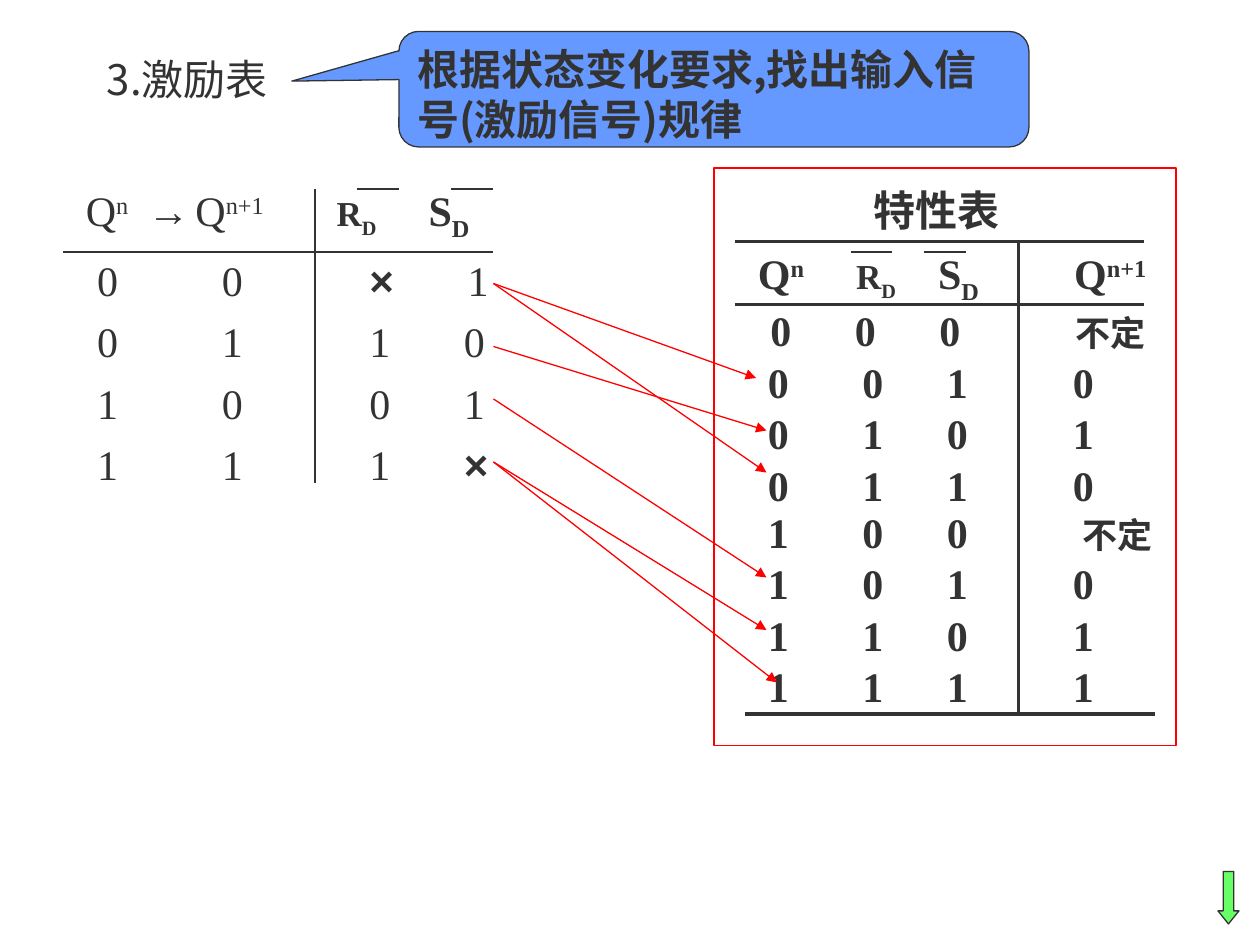
from itertools import product

from lxml import etree
from pptx import Presentation
from pptx.dml.color import RGBColor
from pptx.enum.shapes import MSO_CONNECTOR, MSO_SHAPE
from pptx.enum.text import MSO_ANCHOR, MSO_AUTO_SIZE
from pptx.oxml.ns import qn
from pptx.util import Inches, Pt

LINE = MSO_CONNECTOR.STRAIGHT
RECT = MSO_SHAPE.RECTANGLE
CALL = MSO_SHAPE.ROUNDED_RECTANGULAR_CALLOUT
DOWN = MSO_SHAPE.DOWN_ARROW
MID, TOP = MSO_ANCHOR.MIDDLE, MSO_ANCHOR.TOP
GROW = MSO_AUTO_SIZE.SHAPE_TO_FIT_TEXT

WIDE, HIGH = 10, 7.5
COLS, ROWS = 120, 90
HUES = {"ink": "333333", "blue": "6699FF", "red": "FF0000", "green": "66FF66"}
HAN, TIMES, ARIAL = "Noto Sans CJK SC", "Times New Roman", "Arial"
SUP, SUB = 30000, -25000


def hue(name):
    """Return the named colour."""
    return RGBColor.from_string(HUES[name])


def grid(*cells):
    """Turn column and row numbers, in turn, into lengths."""
    units = (WIDE / COLS, HIGH / ROWS)
    return [Inches(n * units[i % 2]) for i, n in enumerate(cells)]


def add_run(para, text, size=24, bold=False, base=0, face=TIMES):
    """Add one styled run to a paragraph."""
    run = para.add_run()
    run.text = text
    font = run.font
    font.size, font.bold, font.name = Pt(size), bold, face
    font.color.rgb = hue("ink")
    props = run._r.get_or_add_rPr()
    if base:
        props.set("baseline", str(base))
    etree.SubElement(props, qn("a:ea")).set("typeface", HAN)


def add_tabs(para, stops):
    """Give a paragraph left tab stops, in inches."""
    tabs = etree.SubElement(para._p.get_or_add_pPr(), qn("a:tabLst"))
    for stop in stops:
        tab = etree.SubElement(tabs, qn("a:tab"))
        tab.set("pos", str(Inches(stop)))
        tab.set("algn", "l")


def add_row(frame, runs, stops, gap, lead):
    """Add one tabbed row below the head of a text grid."""
    para = frame.add_paragraph()
    para.space_before, para.line_spacing = Pt(gap), lead
    add_tabs(para, stops)
    for run in runs:
        add_run(para, **run)


def add_box(slide, cells, runs, stops=(), anchor=TOP, wrap=True, grow=True):
    """Add a text box whose first paragraph holds the runs."""
    frame = slide.shapes.add_textbox(*grid(*cells)).text_frame
    frame.word_wrap, frame.vertical_anchor = wrap, anchor
    if grow:
        frame.auto_size = GROW
    para = frame.paragraphs[0]
    if stops:
        add_tabs(para, stops)
    for run in runs:
        add_run(para, **run)
    return frame


def add_form(slide, kind, cells, fill=None, edge="ink", adjust=()):
    """Add a preset shape with a thin edge."""
    form = slide.shapes.add_shape(kind, *grid(*cells))
    form.shadow.inherit = False
    if fill:
        form.fill.solid()
        form.fill.fore_color.rgb = hue(fill)
    else:
        form.fill.background()
    form.line.color.rgb, form.line.width = hue(edge), Pt(0.75)
    for i, value in enumerate(adjust):
        form.adjustments[i] = value
    return form


def add_line(slide, cells, color="ink", width=0.75, arrow=False):
    """Add a straight line, with an arrowhead if asked."""
    line = slide.shapes.add_connector(LINE, *grid(*cells))
    line.line.color.rgb, line.line.width = hue(color), Pt(width)
    if arrow:
        etree.SubElement(line.line._get_or_add_ln(), qn("a:tailEnd")).set("type", "triangle")
    etree.SubElement(line._element.spPr, qn("a:effectLst"))


def bold(text, **style):
    """Describe a bold run."""
    return dict(text=text, bold=True, **style)


def add_truth(slide):
    """Add the characteristic table inside its red frame."""
    head = [bold("Q"), bold("n", base=SUP), bold("\tR", size=20), bold("D", size=20, base=SUB),
            bold("\tS"), bold("D", base=SUB), bold("\tQ"), bold("n+1", base=SUP)]
    frame = add_box(slide, (71, 23, 42, 45), head, (0.78, 1.43, 2.51))
    sets = {0: (0.1, 0.77, 1.44, 2.52), 4: (0.08, 0.83, 1.5, 2.58)}
    for i, bits in enumerate(product("01", repeat=3)):
        start = "\t" + "\t".join(bits) + "\t"
        if i in sets:
            add_row(frame, [bold(start), bold("不定", size=20)], sets[i], 12.5, 0.5)
        else:
            after = "00100011"[i]
            add_row(frame, [bold(start + after)], (0.08, 0.83, 1.5, 2.5), 15, 0.5)
    for cells in ((70, 29, 109, 29), (97, 23, 97, 68), (71, 68, 110, 68), (70, 23, 109, 23)):
        add_line(slide, cells, width=2.25)
    add_form(slide, RECT, (68, 16, 44, 55), edge="red")
    add_box(slide, (82, 17, 14.4, 6), [bold("特性表", face=HAN)], wrap=False)


def add_drive(slide):
    """Add the excitation table."""
    head = [dict(text="Q"), dict(text="n", base=SUP), dict(text="\t→", face=ARIAL),
            dict(text="\tQ"), dict(text="n+1", base=SUP), bold("\tR", size=20),
            bold("D", size=20, base=SUB), bold("\tS"), bold("D", base=SUB)]
    frame = add_box(slide, (7, 17, 42, 30), head, (0.49, 0.87, 1.99, 2.72))
    for i, row in enumerate(("00×1", "0110", "1001", "111×")):
        runs = []
        for sign in row:
            runs.append(dict(text="\t"))
            runs.append(bold(sign, face=ARIAL) if sign == "×" else dict(text=sign))
        add_row(frame, runs, (0.09, 1.08, 2.25, 3 if i else 3.03), 15, 0.7)
    for cells in ((6, 24, 47, 24), (30, 18, 30, 46)):
        add_line(slide, cells)


def main():
    """Build the slide and save it."""
    deck = Presentation()
    deck.slide_width, deck.slide_height = Inches(WIDE), Inches(HIGH)
    slide = deck.slides.add_slide(deck.slide_layouts[6])
    add_box(slide, (9, 5, 20, 5), [dict(text="3.激励表", face=HAN)], anchor=MID, grow=False)
    call = add_form(slide, CALL, (38, 3, 60, 11), "blue", adjust=(-0.67, -0.07, 0.17))
    call.text_frame.word_wrap, call.text_frame.vertical_anchor = True, TOP
    para = call.text_frame.paragraphs[0]
    para.alignment = 1
    add_run(para, "根据状态变化要求,找出输入信号(激励信号)规律", bold=True, face=HAN)
    add_truth(slide)
    add_form(slide, DOWN, (116, 83, 2, 5), "green", adjust=(0.5, 0.62))
    add_drive(slide)
    for left, top in ((34, 18), (43, 18), (81, 24), (88, 24)):
        add_line(slide, (left, top, left + 4, top))
    for top, ends in ((27, ((72, 36), (73, 45))), (33, ((73, 41),)),
                      (38, ((73, 55),)), (44, ((73, 60), (74, 65)))):
        for end in ends:
            add_line(slide, (47, top, *end), "red", arrow=True)
    deck.save("out.pptx")


if __name__ == "__main__":
    main()
